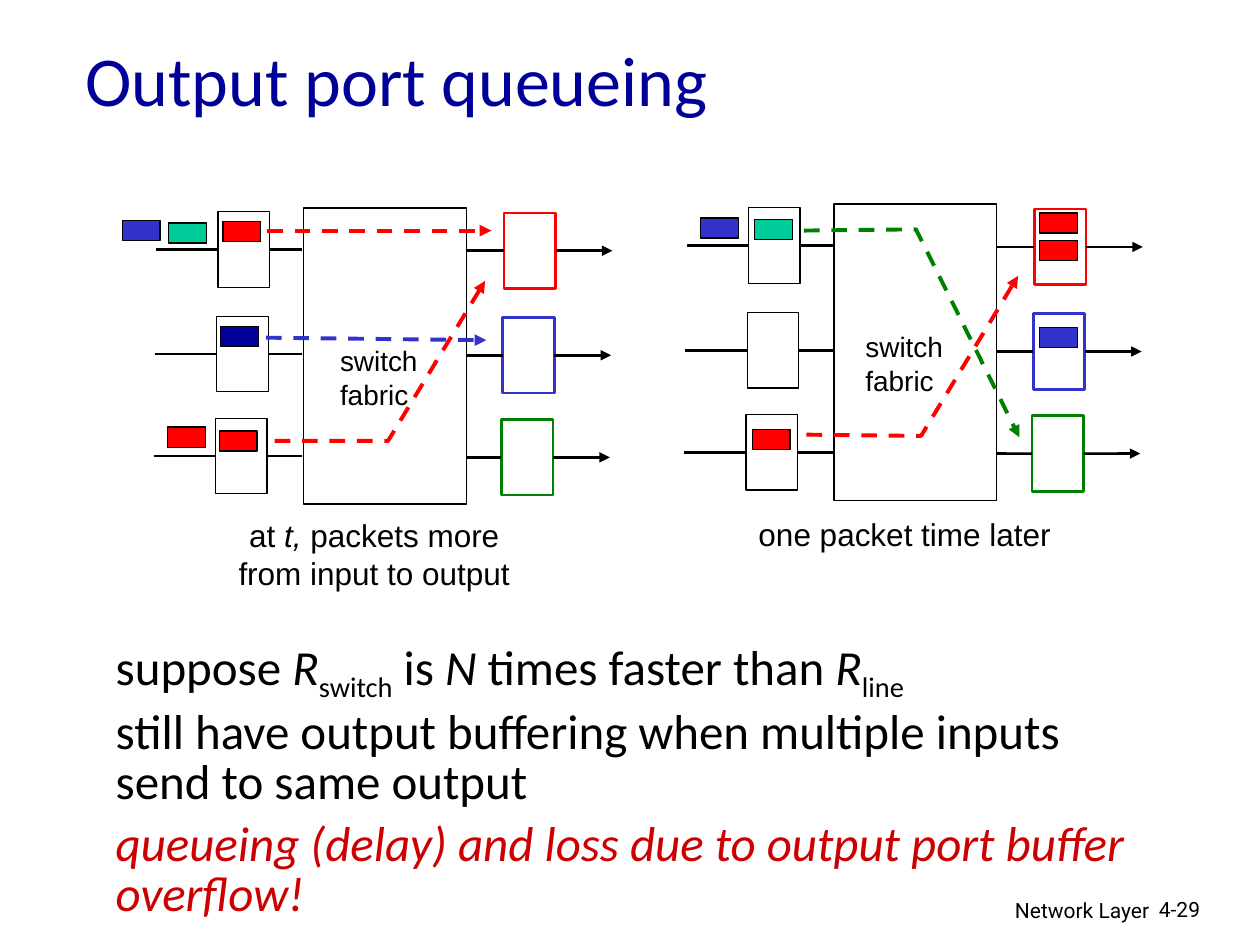
from dataclasses import dataclass

from lxml.etree import SubElement
from pptx import Presentation
from pptx.dml.color import RGBColor
from pptx.enum.dml import MSO_LINE
from pptx.enum.shapes import MSO_CONNECTOR, MSO_SHAPE
from pptx.enum.text import MSO_ANCHOR, MSO_AUTO_SIZE, PP_ALIGN
from pptx.oxml.ns import qn
from pptx.util import Inches, Pt


@dataclass(frozen=True)
class Theme:
    black: str = "000000"
    white: str = "FFFFFF"
    navy: str = "000099"
    red: str = "FF0000"
    warning: str = "CC0000"
    blue: str = "3333CC"
    green: str = "008000"
    teal: str = "00CC99"
    title_size: int = 40
    body_size: int = 28
    caption_size: int = 18
    label_size: int = 16
    footer_size: int = 12
    thin: float = 0.75
    medium: float = 1.5
    thick: float = 2.25


THEME = Theme()
ITALIC = {"italic": True}
SUBSCRIPT = {"baseline": -25}

# Port rows: shift to the left and top of the input port
ROWS = [(0, 1.68), (-0.01, 2.51), (-0.02, 3.32)]
OUTPUT_COLORS = [THEME.red, THEME.blue, THEME.green]
PORT_WIDTH, PORT_HEIGHT = 0.41, 0.6
# Shift of the second switch against the first
LATER = (4.21, -0.03)


def set_attributes(target, values):
    for name, value in values.items():
        setattr(target, name, value)


def add_text(page, place, paragraphs, font, size, color=THEME.black,
             frame_format=None, para_format=None):
    """Each paragraph is a list of (text, format) spans."""
    box = page.shapes.add_textbox(*map(Inches, place))
    frame = box.text_frame
    set_attributes(frame, {"word_wrap": True, **(frame_format or {})})
    for index, spans in enumerate(paragraphs):
        para = frame.paragraphs[0] if index == 0 else frame.add_paragraph()
        set_attributes(para, para_format or {})
        if index == 0:
            para.space_before = Pt(0)
        for text, changes in spans:
            values = {"name": font, "size": Pt(size), **changes}
            baseline = values.pop("baseline", None)
            ink = values.pop("color", color)
            span = para.add_run()
            span.text = text
            set_attributes(span.font, values)
            span.font.color.rgb = RGBColor.from_string(ink)
            if baseline:
                span._r.get_or_add_rPr().set("baseline", str(baseline * 1000))
    return box


def add_rectangle(page, place, fill=THEME.white, line=THEME.black,
                  width=THEME.thin):
    box = page.shapes.add_shape(MSO_SHAPE.RECTANGLE, *map(Inches, place))
    box.shadow.inherit = False
    box.fill.solid()
    box.fill.fore_color.rgb = RGBColor.from_string(fill)
    box.line.color.rgb = RGBColor.from_string(line)
    box.line.width = Pt(width)
    return box


def style_line(shape, color, width, dashed=False, arrow=False):
    shape.line.color.rgb = RGBColor.from_string(color)
    shape.line.width = Pt(width)
    if dashed:
        shape.line.dash_style = MSO_LINE.DASH
    if arrow:
        outline = shape.element.spPr.find(qn("a:ln"))
        SubElement(outline, qn("a:tailEnd"), type="triangle")


def add_line(page, start, end, color=THEME.black, width=THEME.medium, **style):
    line = page.shapes.add_connector(
        MSO_CONNECTOR.STRAIGHT, *map(Inches, (*start, *end)))
    style_line(line, color, width, **style)
    SubElement(line.element.spPr, qn("a:effectLst"))
    return line


def add_flow(page, points, color):
    """Dashed arrow along the way of a packet."""
    style = {"dashed": True, "arrow": True}
    if len(points) == 2:
        add_line(page, *points, color, THEME.thick, **style)
        return
    corners = [(Inches(x), Inches(y)) for x, y in points]
    builder = page.shapes.build_freeform(*corners[0])
    builder.add_line_segments(corners[1:], close=False)
    flow = builder.convert_to_shape()
    flow.shadow.inherit = False
    flow.fill.background()
    style_line(flow, color, THEME.thick, **style)


def add_switch(page, dx=0, dy=0):
    """Switch fabric with three input ports and three output ports."""
    add_rectangle(page, (2.41 + dx, 1.65 + dy, 1.29, 2.35))
    for (shift, top), color in zip(ROWS, OUTPUT_COLORS):
        left, top = 1.73 + dx + shift, top + dy
        size = (PORT_WIDTH, PORT_HEIGHT)
        input_port = add_rectangle(page, (left, top, *size))
        output_port = add_rectangle(page, (left + 2.27, top + 0.01, *size),
                                    line=color, width=THEME.medium)
        in_y = top + PORT_HEIGHT / 2
        out_y = in_y + 0.01
        # Line into the input port and from it to the fabric
        arriving = add_line(page, (left - 0.49, in_y), (left, in_y))
        arriving.end_connect(input_port, 1)
        entering = add_line(page, (left + PORT_WIDTH, in_y), (2.4 + dx, in_y))
        entering.begin_connect(input_port, 3)
        # Line from the fabric to the output port and away from it
        leaving = add_line(page, (3.7 + dx, out_y), (left + 2.27, out_y))
        leaving.end_connect(output_port, 1)
        departing = add_line(page, (left + 2.27 + PORT_WIDTH, out_y),
                             (left + 3.13, out_y), arrow=True)
        departing.begin_connect(output_port, 3)


def add_packets(page, packets):
    for left, top, color in packets:
        add_rectangle(page, (left, top, 0.3, 0.16), color)


def add_label(page, left, top):
    add_text(page, (left, top, 0.88, 0.64),
             [[("switch", {})], [("fabric", {})]], "Arial", THEME.label_size)


def add_caption(page, place, paragraphs):
    add_text(page, place, paragraphs, "Arial", THEME.caption_size,
             frame_format={"auto_size": MSO_AUTO_SIZE.SHAPE_TO_FIT_TEXT},
             para_format={"alignment": PP_ALIGN.CENTER})


def main():
    deck = Presentation()
    deck.slide_width, deck.slide_height = Inches(10), Inches(7.5)
    page = deck.slides.add_slide(deck.slide_layouts[6])

    # Footer
    add_text(page, (6.05, 7.07, 3.17, 0.31), [[("Network Layer", {})]],
             "Roboto", THEME.footer_size,
             para_format={"alignment": PP_ALIGN.RIGHT})
    add_text(page, (9.1, 7.07, 0.74, 0.3), [[("4-29", {})]],
             "Roboto", THEME.footer_size)

    # Title and body
    add_text(page, (0.58, 0.22, 8.5, 0.8), [[("Output port queueing", {})]],
             "Calibri", THEME.title_size, THEME.navy,
             frame_format={"vertical_anchor": MSO_ANCHOR.MIDDLE})
    body = [
        [("suppose ", {}), ("R", ITALIC), ("switch", SUBSCRIPT), (" is ", {}),
         ("N", ITALIC), (" times faster than ", {}), ("R", ITALIC),
         ("line", SUBSCRIPT)],
        [("still have output buffering when multiple inputs "
          "send to same output", {})],
        [("queueing (delay) and loss due to output port buffer overflow!",
          {"italic": True, "color": THEME.warning})],
    ]
    add_text(page, (0.82, 5.03, 8.5, 1.3), body, "Calibri", THEME.body_size,
             para_format={"line_spacing": 0.85, "space_before": Pt(7)})

    # Switch at time t
    add_switch(page)
    add_packets(page, [
        (0.97, 1.75, THEME.blue), (1.34, 1.77, THEME.teal),
        (1.77, 1.76, THEME.red), (1.75, 2.59, THEME.navy),
        (1.33, 3.39, THEME.red), (1.74, 3.42, THEME.red)])
    add_label(page, 2.6, 2.68)
    add_flow(page, [(2.12, 1.83), (3.9, 1.83)], THEME.red)
    add_flow(page, [(2.11, 2.68), (3.86, 2.7)], THEME.blue)
    add_flow(page, [(2.18, 3.5), (3.08, 3.5), (3.85, 2.23)], THEME.red)
    add_caption(page, (1.63, 4.05, 2.68, 0.7), [
        [("at ", {}), ("t,", ITALIC), (" packets more", {})],
        [("from input to output", {})]])

    # Switch one packet time later
    add_switch(page, *LATER)
    add_packets(page, [
        (5.56, 1.73, THEME.blue), (5.99, 1.74, THEME.teal),
        (5.97, 3.41, THEME.red), (8.25, 1.69, THEME.red),
        (8.25, 1.91, THEME.red), (8.25, 2.6, THEME.blue)])
    add_label(page, 6.77, 2.57)
    add_flow(page, [(6.4, 3.45), (7.31, 3.46), (8.08, 2.19)], THEME.red)
    add_flow(page, [(6.38, 1.83), (7.27, 1.82), (8.09, 3.47)], THEME.green)
    add_caption(page, (5.84, 4.04, 2.68, 0.4),
                [[("one packet time later", {})]])

    deck.save("out.pptx")


if __name__ == "__main__":
    main()
